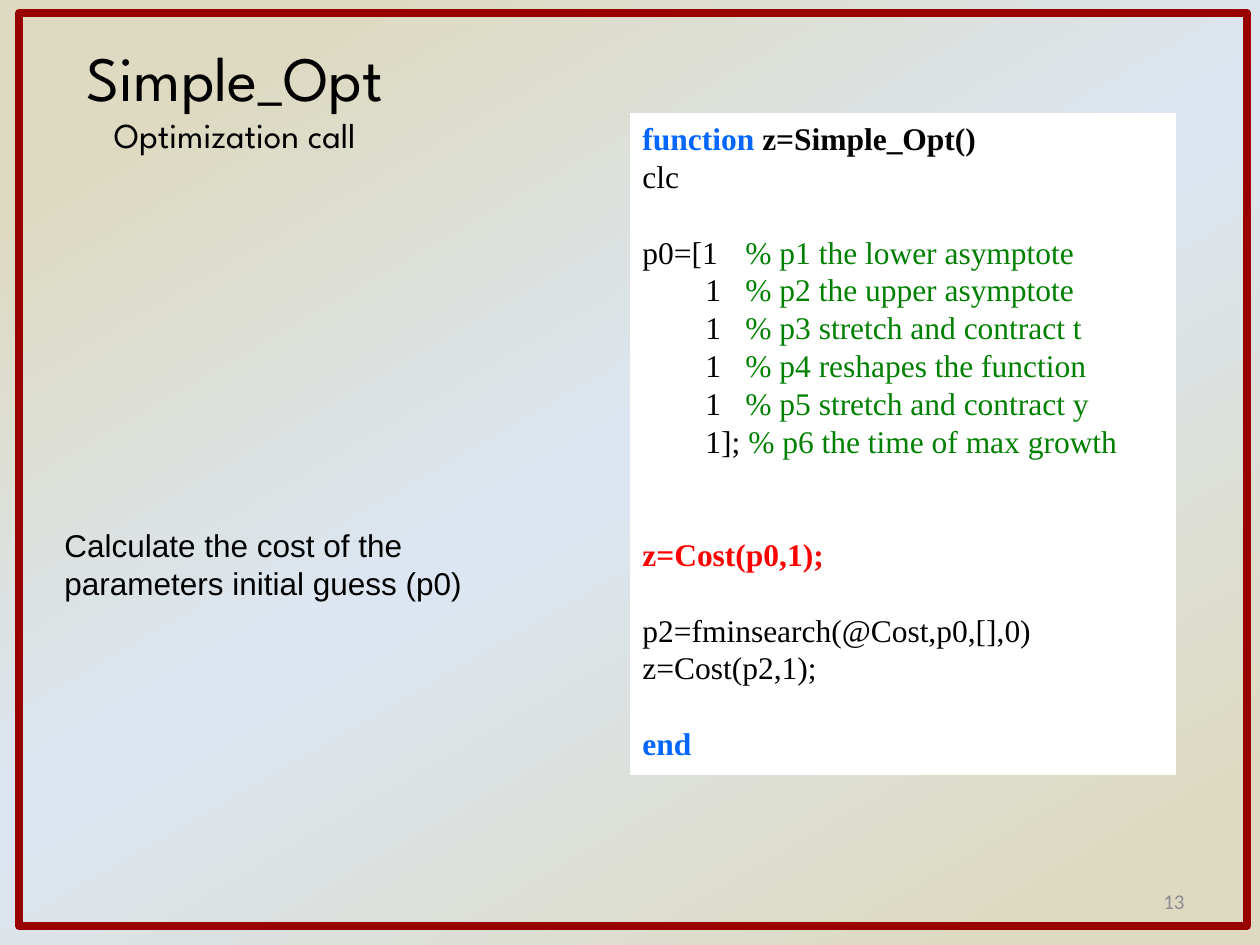
from copy import deepcopy

from lxml.etree import SubElement
from pptx import Presentation
from pptx.dml.color import RGBColor
from pptx.enum.shapes import MSO_SHAPE
from pptx.enum.text import MSO_ANCHOR, PP_ALIGN
from pptx.oxml.ns import qn
from pptx.util import Emu, Pt

SCALE = 914400 / 126
LINE_HEIGHT = 21.6
TAB_STOPS = (63, 103)

BLACK = RGBColor(0x00, 0x00, 0x00)
WHITE = RGBColor(0xFF, 0xFF, 0xFF)
GRAY = RGBColor(0x8C, 0x8C, 0x8C)
DARK_RED = RGBColor(0x99, 0x00, 0x00)
RED = RGBColor(0xFF, 0x00, 0x00)
BLUE = RGBColor(0x00, 0x66, 0xFF)
GREEN = RGBColor(0x00, 0x80, 0x00)
SAND = RGBColor(0xDD, 0xDA, 0xC1)
PALE_BLUE = RGBColor(0xDC, 0xE6, 0xF2)

BACKGROUND_STOPS = [(0.13, SAND), (0.49, PALE_BLUE), (0.90, SAND)]

PARAMETERS = [
    ("p0=[1\t", "% p1 the lower asymptote"),
    ("\t1\t", "% p2 the upper asymptote"),
    ("\t1\t", "% p3 stretch and contract t"),
    ("\t1\t", "% p4 reshapes the function"),
    ("\t1\t", "% p5 stretch and contract y"),
    ("\t1]; ", "% p6 the time of max growth"),
]

# Each line: empty lines above it, bold, coloured pieces.
CODE = [
    (0, True, [("function", BLUE), (" z=Simple_Opt()", BLACK)]),
    (0, False, [("clc", BLACK)]),
    *[
        (1 if index == 0 else 0, False, [(value, BLACK), (comment, GREEN)])
        for index, (value, comment) in enumerate(PARAMETERS)
    ],
    (2, True, [("z=Cost(p0,1);", RED)]),
    (1, False, [("p2=fminsearch(@Cost,p0,[],0)", BLACK)]),
    (0, False, [("z=Cost(p2,1);", BLACK)]),
    (1, True, [("end", BLUE)]),
]


def px(length):
    """Turn pixels into EMU."""
    return Emu(round(length * SCALE))


def set_font(font, name, size, color=None, bold=False):
    """Set the face, size, weight and optional colour of a font."""
    font.name = name
    font.size = Pt(size)
    font.bold = bold
    if color is not None:
        font.color.rgb = color


def add_rectangle(slide, box):
    """Add a rectangle without a shadow."""
    shape = slide.shapes.add_shape(MSO_SHAPE.RECTANGLE, *map(px, box))
    shape.shadow.inherit = False
    return shape


def add_text_box(slide, box, wrap=True):
    """Add a text box and return its text frame."""
    text_frame = slide.shapes.add_textbox(*map(px, box)).text_frame
    text_frame.word_wrap = wrap
    return text_frame


def paint_background(slide):
    """Fill the slide with a three-colour diagonal gradient."""
    fill = slide.background.fill
    fill.gradient()
    fill.gradient_angle = 300
    first_stop = fill.gradient_stops[0]._gs
    first_stop.addnext(deepcopy(first_stop))
    for stop, (position, color) in zip(fill.gradient_stops, BACKGROUND_STOPS):
        stop.position = position
        stop.color.rgb = color


def add_slide_number(slide, box):
    """Write the slide number at the right of its box."""
    text_frame = add_text_box(slide, box)
    text_frame.vertical_anchor = MSO_ANCHOR.MIDDLE
    paragraph = text_frame.paragraphs[0]
    paragraph.text = "13"
    paragraph.alignment = PP_ALIGN.RIGHT
    set_font(paragraph.font, "Calibri", 12, GRAY)


def add_frame(slide, box):
    """Draw the red frame around the slide."""
    frame = add_rectangle(slide, box)
    frame.fill.background()
    frame.line.color.rgb = DARK_RED
    frame.line.width = Pt(4.5)


def add_explanation(slide, box):
    """Write the note beside the highlighted line of code."""
    paragraph = add_text_box(slide, box).paragraphs[0]
    paragraph.text = "Calculate the cost of the parameters initial guess (p0)"
    paragraph.line_spacing = Pt(LINE_HEIGHT)
    set_font(paragraph.font, "Arial", 18, BLACK)


def add_title(slide, box):
    """Write the title and the subtitle, centred."""
    text_frame = add_text_box(slide, box, wrap=False)
    lines = [("Simple_Opt", 36), ("Optimization call", 20)]
    for index, (text, size) in enumerate(lines):
        paragraph = text_frame.add_paragraph() if index else text_frame.paragraphs[0]
        paragraph.text = text
        paragraph.alignment = PP_ALIGN.CENTER
        set_font(paragraph.font, "League Spartan", size, BLACK)


def add_tab_stops(paragraph):
    """Give a paragraph the tab stops of the code listing."""
    tab_list = SubElement(paragraph._p.get_or_add_pPr(), qn("a:tabLst"))
    for position in TAB_STOPS:
        SubElement(tab_list, qn("a:tab"), pos=str(px(position)), algn="l")


def add_code(slide, box):
    """Write the code listing on a white panel."""
    panel = add_rectangle(slide, box)
    panel.fill.solid()
    panel.fill.fore_color.rgb = WHITE
    panel.line.fill.background()
    text_frame = panel.text_frame
    text_frame.word_wrap = True
    text_frame.vertical_anchor = MSO_ANCHOR.TOP
    for index, (empty_lines, bold, pieces) in enumerate(CODE):
        paragraph = text_frame.add_paragraph() if index else text_frame.paragraphs[0]
        paragraph.alignment = PP_ALIGN.LEFT
        paragraph.line_spacing = Pt(LINE_HEIGHT)
        paragraph.space_before = Pt(empty_lines * LINE_HEIGHT)
        add_tab_stops(paragraph)
        set_font(paragraph.font, "Times New Roman", 18, bold=bold)
        for text, color in pieces:
            run = paragraph.add_run()
            run.text = text
            run.font.color.rgb = color


def main():
    """Build the slide and save the presentation."""
    presentation = Presentation()
    presentation.slide_width = px(1260)
    presentation.slide_height = px(945)
    slide = presentation.slides.add_slide(presentation.slide_layouts[6])
    paint_background(slide)
    add_slide_number(slide, (903, 876, 294, 50))
    add_frame(slide, (19, 13, 1228, 913))
    add_explanation(slide, (52, 520, 506, 90))
    add_title(slide, (45, 32, 380, 131))
    add_code(slide, (630, 113, 546, 662))
    presentation.save("out.pptx")


if __name__ == "__main__":
    main()
